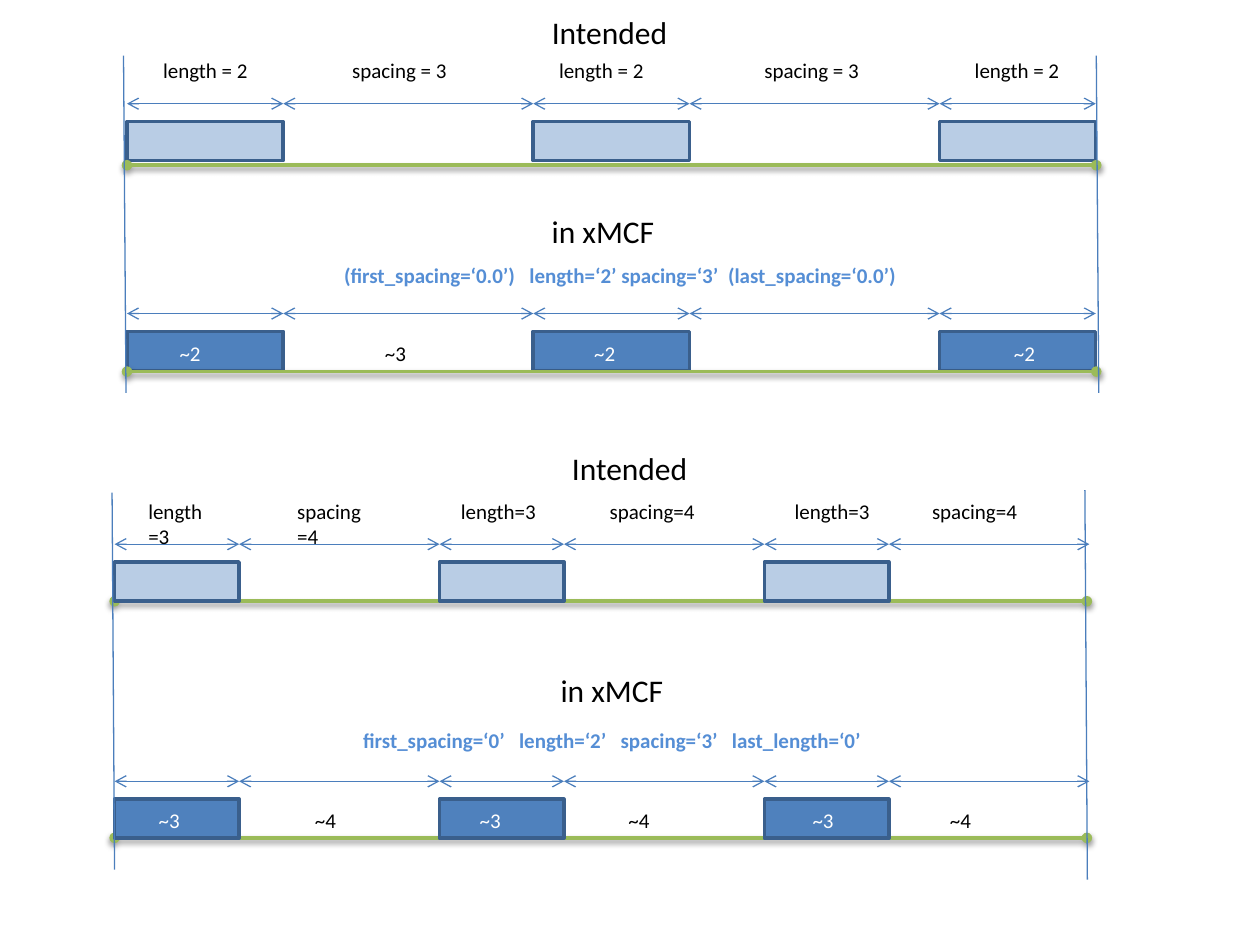
from dataclasses import dataclass

from lxml import etree
from pptx import Presentation
from pptx.dml.color import RGBColor
from pptx.enum.shapes import MSO_CONNECTOR, MSO_SHAPE
from pptx.enum.text import MSO_ANCHOR, MSO_AUTO_SIZE, PP_ALIGN
from pptx.oxml.ns import qn
from pptx.util import Cm, Pt

STRAIGHT, RECTANGLE = MSO_CONNECTOR.STRAIGHT, MSO_SHAPE.RECTANGLE
TOP, FIT = MSO_ANCHOR.TOP, MSO_AUTO_SIZE.SHAPE_TO_FIT_TEXT
LEFT, CENTER = PP_ALIGN.LEFT, PP_ALIGN.CENTER


@dataclass(frozen=True)
class Theme:
    font: str = "Calibri"
    heading_size: int = 18
    label_size: int = 12
    dark: str = "000000"
    light: str = "FFFFFF"
    accent: str = "558ED5"
    intended_fill: str = "B9CDE5"
    stored_fill: str = "4F81BD"
    bar_line: str = "3A5F8C"
    measure: str = "4B7EBC"
    baseline: str = "9BBB59"


@dataclass(frozen=True)
class Box:
    """Lengths in centimetres."""
    left: float
    top: float
    width: float
    height: float


@dataclass(frozen=True)
class Rhythm:
    """Bar and gap lengths in centimetres, and the number of segments."""
    bar: float
    gap: float
    segments: int
    baseline_on_top: bool


THEME = Theme()
BAR_HEIGHT = 0.79
BAR_DROP = 0.36
WIDE, MEDIUM = 5.4, 2.7  # extra points after a single space


def add_text(page, text, box, size=THEME.label_size, color=THEME.dark,
             bold=False, align=LEFT, wrap=False, shape=None):
    """Text is a string, or a list of (string, extra letter spacing) spans."""
    place = [Cm(n) for n in (box.left, box.top, box.width, box.height)]
    if shape is None:
        shape = page.shapes.add_textbox(*place)
    else:
        shape.left, shape.top, shape.width, shape.height = place
    frame = shape.text_frame
    frame.word_wrap, frame.auto_size = wrap, FIT
    frame.vertical_anchor = TOP
    para = frame.paragraphs[0]
    para.alignment = align
    for words, spacing in [(text, 0)] if isinstance(text, str) else text:
        span = para.add_run()
        span.text = words
        span.font.name, span.font.size = THEME.font, Pt(size)
        span.font.bold = bold
        span.font.color.rgb = RGBColor.from_string(color)
        if spacing:
            span._r.get_or_add_rPr().set("spc", str(round(spacing * 100)))


def add_line(page, start, end, color, width=0.75, ends=None, shadow=False):
    line = page.shapes.add_connector(STRAIGHT, *(Cm(n) for n in start + end))
    line.line.color.rgb = RGBColor.from_string(color)
    line.line.width = Pt(width)
    if ends:
        for tag in ("a:headEnd", "a:tailEnd"):
            etree.SubElement(line.line._get_or_add_ln(), qn(tag), type=ends)
    effects = etree.SubElement(line._element.spPr, qn("a:effectLst"))
    if shadow:
        outer = etree.SubElement(effects, qn("a:outerShdw"), blurRad="40000",
                                 dist="20000", dir="5400000", rotWithShape="0")
        tint = etree.SubElement(outer, qn("a:srgbClr"), val=THEME.dark)
        etree.SubElement(tint, qn("a:alpha"), val="38000")


def add_bar(page, box, fill):
    bar = page.shapes.add_shape(
        RECTANGLE, *(Cm(n) for n in (box.left, box.top, box.width, box.height)))
    bar.shadow.inherit = False
    bar.fill.solid()
    bar.fill.fore_color.rgb = RGBColor.from_string(fill)
    bar.line.color.rgb = RGBColor.from_string(THEME.bar_line)
    bar.line.width = Pt(2)


def add_track(page, box, rhythm, labels, label_drop, fill, bar_text=THEME.dark):
    """Arrows run along the top of the box and the baseline along its foot."""
    def draw_baseline():
        foot = box.top + box.height
        add_line(page, (box.left, foot), (box.left + box.width, foot),
                 THEME.baseline, 2, "oval", shadow=True)

    if not rhythm.baseline_on_top:
        draw_baseline()
    # Bars and gaps alternate, each with its own measuring arrow
    left = box.left
    for index in range(rhythm.segments):
        is_bar = index % 2 == 0
        length = rhythm.bar if is_bar else rhythm.gap
        if is_bar:
            add_bar(page, Box(left, box.top + BAR_DROP, length, BAR_HEIGHT), fill)
        add_line(page, (left, box.top), (left + length, box.top),
                 THEME.measure, ends="arrow")
        left += length
    if rhythm.baseline_on_top:
        draw_baseline()
    # Labels, keyed by segment
    for index, (text, offset, width) in labels.items():
        place = Box(box.left + offset, box.top + label_drop, width, 0.76)
        color = THEME.dark if index % 2 else bar_text
        add_text(page, text, place, color=color, wrap=True)


def add_heading(page, text, left, top, width, shape=None):
    add_text(page, text, Box(left, top, width, 1.02), THEME.heading_size,
             shape=shape)


def add_attributes(page, spans, box):
    add_text(page, spans, box, color=THEME.accent, bold=True, align=CENTER)


def number_labels(texts, offsets, widths):
    return dict(enumerate(zip(texts, offsets, widths)))


def add_flush_case(page):
    """Bars at both ends of the line."""
    rhythm = Rhythm(3.15, 5.04, 5, True)
    add_heading(page, "Intended", 10.87, 0.13, 2.87, page.shapes.title)
    labels = number_labels(["length = 2", "spacing = 3"] * 2 + ["length = 2"],
                           [0.48, 4.29, 8.46, 12.6, 16.84],
                           [2.57, 2.72, 2.24, 2.5, 2.24])
    add_track(page, Box(2.56, 2.09, 19.54, 1.24), rhythm, labels, -1.05,
              THEME.intended_fill)

    add_heading(page, "in xMCF", 10.87, 4.14, 2.62)
    add_attributes(page, [("(first_spacing=‘0.0’)", 0), (" ", WIDE),
                          ("length=‘2’ spacing=‘3’", 0), (" ", MEDIUM),
                          ("(last_spacing=‘0.0’)", 0)],
                   Box(6.1, 5.16, 12.8, 0.76))
    labels = {0: ("~2", 0.81, 0.96), 1: ("~3", 4.95, 0.96),
              2: ("~2", 9.17, 0.96), 4: ("~2", 17.63, 0.96)}
    add_track(page, Box(2.56, 6.32, 19.54, 1.17), rhythm, labels, 0.42,
              THEME.stored_fill, THEME.light)

    for left in (2.49, 22.1):
        add_line(page, (left, 1.12), (left + 0.05, 7.92), THEME.measure)


def add_trailing_case(page):
    """The last gap closes the line."""
    rhythm = Rhythm(2.51, 4.04, 6, False)
    add_heading(page, "Intended", 11.28, 8.92, 2.87)
    labels = number_labels(["length=3", "spacing=4"] * 3,
                           [0.43, 3.43, 6.73, 9.73, 13.46, 16.23],
                           [1.73, 1.85, 2.03, 2.24, 2.03, 2.24])
    add_track(page, Box(2.31, 10.97, 19.6, 1.15), rhythm, labels, -1.04,
              THEME.intended_fill)

    add_heading(page, "in xMCF", 11.05, 13.41, 2.62)
    add_attributes(page, [("first_spacing=‘0’", 0), (" ", WIDE),
                          ("length=‘2’", 0), (" ", WIDE),
                          ("spacing=‘3’", 0), (" ", WIDE),
                          ("last_length=‘0’", 0)],
                   Box(6.99, 14.55, 10.69, 0.76))
    labels = number_labels(["~3", "~4"] * 3,
                           [0.64, 3.79, 7.11, 10.11, 13.82, 16.59], [0.96] * 6)
    add_track(page, Box(2.31, 15.75, 19.6, 1.14), rhythm, labels, 0.4,
              THEME.stored_fill, THEME.light)

    for left, top, foot in ((2.26, 9.93, 17.53), (21.87, 9.88, 17.73)):
        add_line(page, (left, top), (left + 0.05, foot), THEME.measure)


def main():
    deck = Presentation()
    deck.slide_width, deck.slide_height = Cm(25.4), Cm(19.05)
    page = deck.slides.add_slide(deck.slide_layouts[5])
    add_flush_case(page)
    add_trailing_case(page)
    deck.save("out.pptx")


if __name__ == "__main__":
    main()
